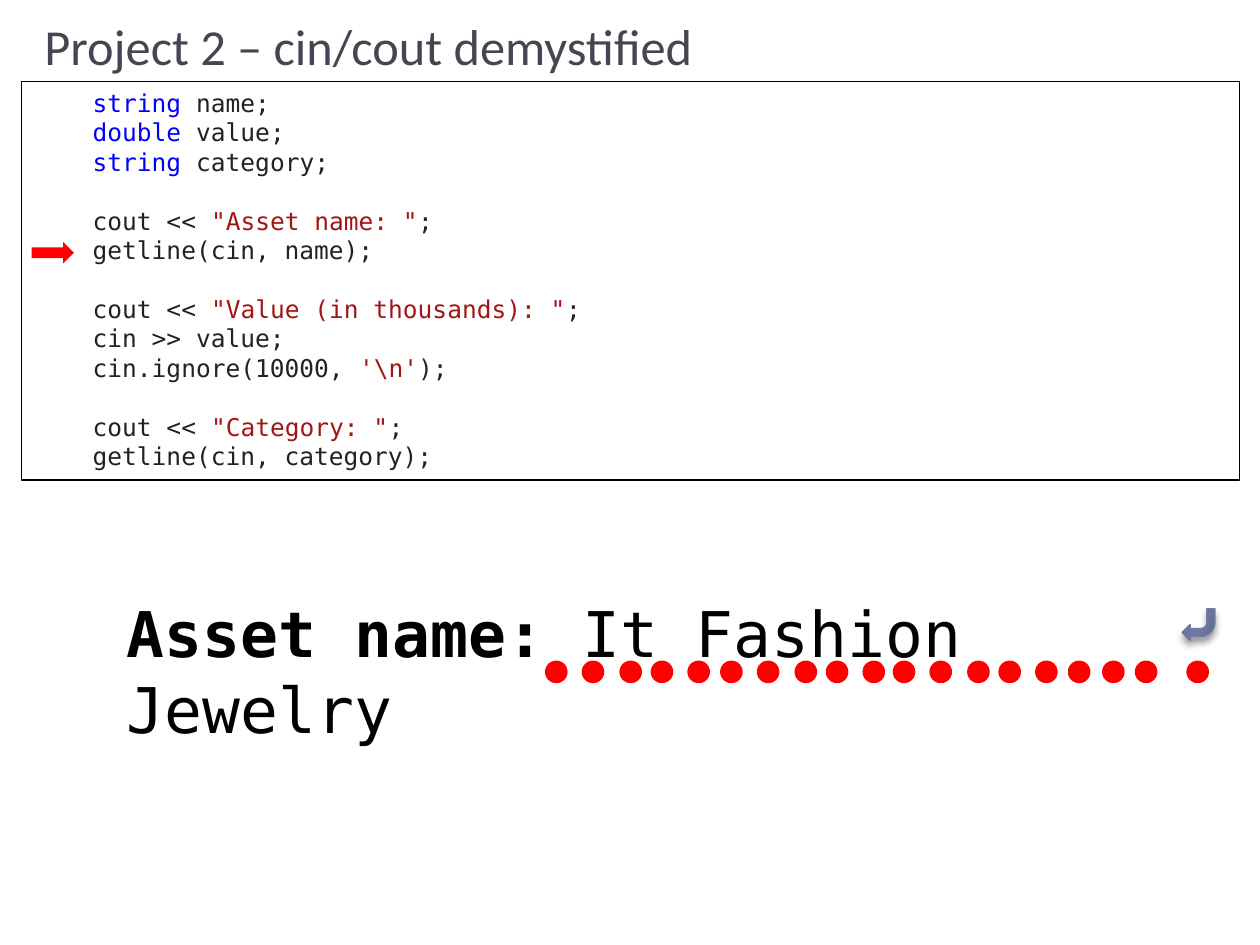
from dataclasses import dataclass

from lxml import etree
from pptx import Presentation
from pptx.dml.color import RGBColor
from pptx.enum.shapes import MSO_SHAPE
from pptx.enum.text import MSO_ANCHOR, MSO_AUTO_SIZE, PP_ALIGN
from pptx.oxml import parse_xml
from pptx.oxml.ns import qn
from pptx.util import Cm, Pt

LEFT, TOP, BOTTOM = PP_ALIGN.LEFT, MSO_ANCHOR.TOP, MSO_ANCHOR.BOTTOM
NO_FIT = MSO_AUTO_SIZE.NONE
RECTANGLE, OVAL = MSO_SHAPE.RECTANGLE, MSO_SHAPE.OVAL
RIGHT_ARROW, BENT_ARROW = MSO_SHAPE.RIGHT_ARROW, MSO_SHAPE.BENT_ARROW
DRAWING_NS = "http://schemas.openxmlformats.org/drawingml/2006/main"


@dataclass(frozen=True)
class Theme:
    """Colours, fonts and type sizes of the slide."""
    title: str = "464653"
    code: str = "222222"
    keyword: str = "0000FF"
    string: str = "A31515"
    black: str = "000000"
    marker: str = "FF0000"
    key_line: str = "727CA3"
    key_stops: tuple = ((0, "5D6585"), (30, "6B759E"), (45, "6E79A7"),
                        (55, "6E79A7"), (73, "6B759E"), (100, "5D6585"))
    heading_font: str = "Calibri"
    code_font: str = "DejaVu Sans Mono"
    title_size: float = 28.8
    code_size: float = 14
    console_size: float = 36
    line_height: float = 1.2


@dataclass(frozen=True)
class Span:
    """A piece of text with one colour and weight."""
    text: str
    color: str
    bold: bool = False


@dataclass(frozen=True)
class Frame:
    """Position and size in centimetres."""
    left: float
    top: float
    width: float
    height: float

    def lengths(self) -> tuple:
        """Return the four values as lengths."""
        return Cm(self.left), Cm(self.top), Cm(self.width), Cm(self.height)


THEME = Theme()


def plain(text: str) -> Span:
    """Return ordinary code."""
    return Span(text, THEME.code)


def keyword(text: str) -> Span:
    """Return a type name."""
    return Span(text, THEME.keyword)


def literal(text: str) -> Span:
    """Return a quoted value."""
    return Span(text, THEME.string)


CODE_BLOCKS = (
    ((keyword("string"), plain(" name;")),
     (keyword("double"), plain(" value;")),
     (keyword("string"), plain(" category;"))),
    ((plain("cout << "), literal('"Asset name: "'), plain(";")),
     (plain("getline(cin, name);"),)),
    ((plain("cout << "), literal('"Value (in thousands): "'), plain(";")),
     (plain("cin >> value;"),),
     (plain("cin.ignore(10000, "), literal(r"'\n'"), plain(");"))),
    ((plain("cout << "), literal('"Category: "'), plain(";")),
     (plain("getline(cin, category);"),)),
)
CONSOLE_LINE = (Span("Asset name: ", THEME.black, True),
                Span("It Fashion Jewelry", THEME.black))

DOT_SIZE, DOT_TOP = 0.43, 13.33
DOT_GROUP_STARTS = (11.0, 14.53, 18.01)
DOT_OFFSETS = (0, 0.74, 1.5, 2.13, 2.87)
LAST_DOTS = (21.54, 22.23, 22.89, 23.93)


def add_shape(page, kind, frame: Frame, fill: str = "", line: str = ""):
    """Add a flat shape with an optional fill and thin outline."""
    shape = page.shapes.add_shape(kind, *frame.lengths())
    shape.shadow.inherit = False
    if fill:
        shape.fill.solid()
        shape.fill.fore_color.rgb = RGBColor.from_string(fill)
    else:
        shape.fill.background()
    if line:
        shape.line.color.rgb = RGBColor.from_string(line)
        shape.line.width = Pt(0.75)
    else:
        shape.line.fill.background()
    return shape


def write_line(para, spans: tuple, size: float) -> None:
    """Write spans into a monospaced paragraph."""
    para.alignment = LEFT
    para.line_spacing = Pt(size * THEME.line_height)
    para.font.name = THEME.code_font
    para.font.size = Pt(size)
    for span in spans:
        run = para.add_run()
        run.text = span.text
        run.font.bold = span.bold
        run.font.color.rgb = RGBColor.from_string(span.color)


def add_title(page, text: str) -> None:
    """Place and format the title placeholder."""
    title = page.shapes.title
    title.left, title.top, title.width, title.height = Frame(
        0.64, 0.2, 23.29, 1.45).lengths()
    frame = title.text_frame
    frame.text = text
    frame.auto_size = NO_FIT
    frame.vertical_anchor = BOTTOM
    para = frame.paragraphs[0]
    para.alignment = LEFT
    para.font.name = THEME.heading_font
    para.font.size = Pt(THEME.title_size)
    para.font.color.rgb = RGBColor.from_string(THEME.title)


def add_code(page) -> None:
    """Add the outlined listing, with a one-line gap between blocks."""
    box = add_shape(page, RECTANGLE, Frame(0.43, 1.65, 24.56, 8.03), line=THEME.black)
    frame = box.text_frame
    frame.word_wrap = True
    frame.vertical_anchor = TOP
    frame.margin_left = Cm(1.44)
    para = frame.paragraphs[0]
    for block_index, block in enumerate(CODE_BLOCKS):
        for line_index, spans in enumerate(block):
            if block_index or line_index:
                para = frame.add_paragraph()
            write_line(para, spans, THEME.code_size)
            if block_index and not line_index:
                para.space_before = Pt(THEME.code_size * THEME.line_height)


def add_console(page) -> None:
    """Add the console prompt and the typed answer."""
    box = page.shapes.add_textbox(*Frame(2.31, 11.86, 21.62, 1.8).lengths())
    box.text_frame.word_wrap = True
    write_line(box.text_frame.paragraphs[0], CONSOLE_LINE, THEME.console_size)


def add_dots(page) -> None:
    """Mark each typed character with a dot."""
    lefts = [start + offset for start in DOT_GROUP_STARTS for offset in DOT_OFFSETS]
    for left in (*lefts, *LAST_DOTS):
        add_shape(page, OVAL, Frame(left, DOT_TOP, DOT_SIZE, DOT_SIZE),
                  THEME.marker, THEME.marker)


def add_enter_key(page) -> None:
    """Add the return arrow with its gradient and soft shadow."""
    arrow = add_shape(page, BENT_ARROW, Frame(23.83, 12.27, 0.66, 0.64),
                      line=THEME.key_line)
    arrow.rotation = 180
    stops = "".join(f'<a:gs pos="{place * 1000}"><a:srgbClr val="{color}"/></a:gs>'
                    for place, color in THEME.key_stops)
    gradient = parse_xml(f'<a:gradFill xmlns:a="{DRAWING_NS}"><a:gsLst>{stops}</a:gsLst>'
                         f'<a:lin ang="{16 * 60000}" scaled="0"/></a:gradFill>')
    properties = arrow.element.spPr
    properties.replace(properties.find(qn("a:noFill")), gradient)
    shadow = etree.SubElement(properties.find(qn("a:effectLst")), qn("a:outerShdw"),
                              blurRad=str(Pt(4)), dist=str(Pt(3.4)),
                              dir=str(90 * 60000), rotWithShape="0")
    color = etree.SubElement(shadow, qn("a:srgbClr"), val=THEME.black)
    etree.SubElement(color, qn("a:alpha"), val="40000")


def build() -> None:
    """Build and save the slide."""
    deck = Presentation()
    deck.slide_width, deck.slide_height = Cm(25.4), Cm(19.05)
    page = deck.slides.add_slide(deck.slide_layouts[5])
    add_code(page)
    add_title(page, "Project 2 – cin/cout demystified")
    add_console(page)
    add_shape(page, RIGHT_ARROW, Frame(0.64, 4.88, 0.85, 0.43), THEME.marker)
    add_dots(page)
    add_enter_key(page)
    deck.save("out.pptx")


build()
